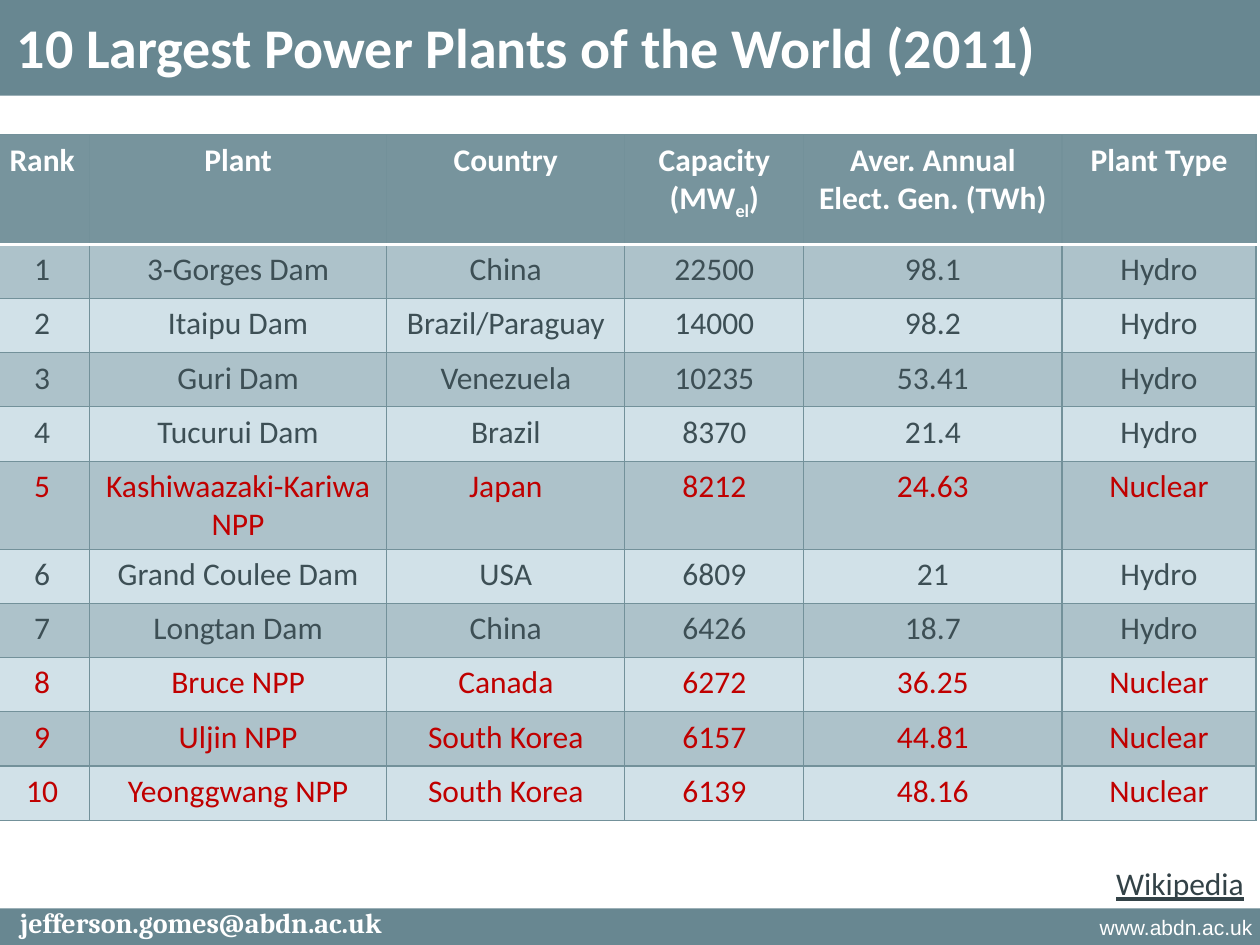
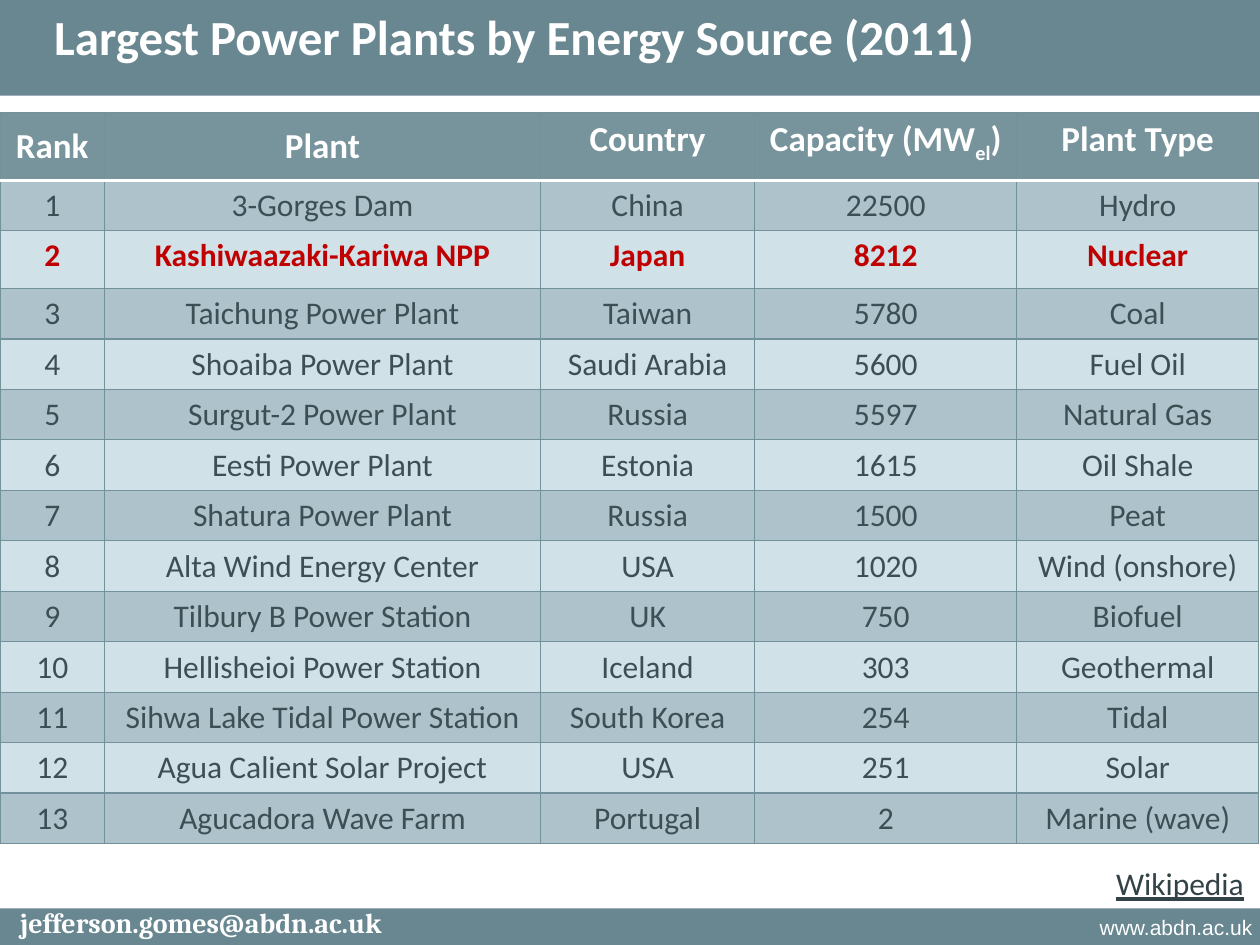
import pptx
import pptx.dml.color
import pptx.enum.shapes
import pptx.enum.text
import pptx.oxml
import pptx.oxml.ns
import pptx.util

Inches = pptx.util.Inches
Pt = pptx.util.Pt
ALIGN = pptx.enum.text.PP_ALIGN
ANCHOR = pptx.enum.text.MSO_ANCHOR

WIDE, HIGH = 10, 7.5
BAND, HEAD, GRID = "688791", "77949D", "73919A"
ODD, EVEN = "ADC2CA", "D1E1E8"
WHITE, INK, RED, LINK = "FFFFFF", "3D4F55", "C00000", "334247"
FONT = "Calibri"
KEY = "Nuclear"  # rows of this plant type are red
POWER = [("Capacity (MW", 0), ("el", -25), (")", 0)]  # text, baseline percent

# Ranks are counted, so each row starts with the plant; the type comes last.
SLIDES = [
    dict(
        title="10 Largest Power Plants of the World (2011)",
        box=(-0.02, 0.05, 8.4, 0.64), size=32,
        spot=(-0.04, 1.07), cols=(0.75, 2.36, 1.89, 1.42, 2.05, 1.54),
        top=0.87, step=0.43, tall={5: 0.7},
        head_size=18, middle=0, bold=False,
        head=["Rank", "Plant", "Country", POWER,
              "Aver. Annual Elect. Gen. (TWh)", "Plant Type"],
        rows=[
            ("3-Gorges Dam", "China", "22500", "98.1", "Hydro"),
            ("Itaipu Dam", "Brazil/Paraguay", "14000", "98.2", "Hydro"),
            ("Guri Dam", "Venezuela", "10235", "53.41", "Hydro"),
            ("Tucurui Dam", "Brazil", "8370", "21.4", "Hydro"),
            ("Kashiwaazaki-Kariwa\nNPP", "Japan", "8212", "24.63", "Nuclear"),
            ("Grand Coulee Dam", "USA", "6809", "21", "Hydro"),
            ("Longtan Dam", "China", "6426", "18.7", "Hydro"),
            ("Bruce NPP", "Canada", "6272", "36.25", "Nuclear"),
            ("Uljin NPP", "South Korea", "6157", "44.81", "Nuclear"),
            ("Yeonggwang NPP", "South Korea", "6139", "48.16", "Nuclear"),
        ],
    ),
    dict(
        title="Largest Power Plants by Energy Source (2011)",
        box=(0.01, 0, 8.14, 0.57), size=28,
        spot=(0, 0.89), cols=(0.83, 3.46, 1.7, 2.08, 1.92),
        top=0.54, step=0.4, tall={2: 0.46},
        head_size=20, middle=2, bold=True,
        head=["Rank", "Plant", "Country", POWER, "Plant Type"],
        rows=[
            ("3-Gorges Dam", "China", "22500", "Hydro"),
            ("Kashiwaazaki-Kariwa NPP", "Japan", "8212", "Nuclear"),
            ("Taichung Power Plant", "Taiwan", "5780", "Coal"),
            ("Shoaiba Power Plant", "Saudi Arabia", "5600", "Fuel Oil"),
            ("Surgut-2 Power Plant", "Russia", "5597", "Natural Gas"),
            ("Eesti Power Plant", "Estonia", "1615", "Oil Shale"),
            ("Shatura Power Plant", "Russia", "1500", "Peat"),
            ("Alta Wind Energy Center", "USA", "1020", "Wind (onshore)"),
            ("Tilbury B Power Station", "UK", "750", "Biofuel"),
            ("Hellisheioi Power Station", "Iceland", "303", "Geothermal"),
            ("Sihwa Lake Tidal Power Station", "South Korea", "254", "Tidal"),
            ("Agua Calient Solar Project", "USA", "251", "Solar"),
            ("Agucadora Wave Farm", "Portugal", "2", "Marine (wave)"),
        ],
    ),
]


def color(code):
    return pptx.dml.color.RGBColor.from_string(code)


def paint(part, code):
    part.fill.solid()
    part.fill.fore_color.rgb = color(code)


def place(box):
    return [Inches(n) for n in box]


def write(para, text, size, code, bold=False, font=FONT, line=False, base=0):
    """Add one run to a paragraph."""
    run = para.add_run()
    run.text = text
    face = run.font
    face.name, face.size, face.bold = font, Pt(size), bold
    face.color.rgb = color(code)
    if line:
        face.underline = True
    if base:
        run._r.get_or_add_rPr().set("baseline", str(base * 1000))


def label(slide, box, text, size, code, align=ALIGN.CENTER, wrap=True, **look):
    frame = slide.shapes.add_textbox(*place(box)).text_frame
    frame.word_wrap = wrap
    para = frame.paragraphs[0]
    para.alignment = align
    write(para, text, size, code, **look)
    return para


def band(slide, top, high):
    shape = slide.shapes.add_shape(
        pptx.enum.shapes.MSO_SHAPE.RECTANGLE, *place((0, top, WIDE, high)))
    shape.shadow.inherit = False
    paint(shape, BAND)
    shape.line.fill.background()


def edge(cell, **sides):
    """Draw the cell borders; sides maps L, R, T, B to (colour, points)."""
    props = cell._tc.get_or_add_tcPr()
    space = pptx.oxml.ns.nsdecls("a")
    for spot, side in enumerate("LRTB"):
        code, width = sides.get(side, (GRID, 0.75))
        props.insert(spot, pptx.oxml.parse_xml(
            f'<a:ln{side} {space} w="{int(Pt(width))}"><a:solidFill>'
            f'<a:srgbClr val="{code}"/></a:solidFill></a:ln{side}>'))


def fill_cell(cell, text, size, code, bold):
    """Write centred text; a list holds (text, baseline) runs."""
    lines = [text] if isinstance(text, list) else [
        [(part, 0)] for part in text.split("\n")]
    frame = cell.text_frame
    for n, runs in enumerate(lines):
        para = frame.add_paragraph() if n else frame.paragraphs[0]
        para.alignment = ALIGN.CENTER
        for part, base in runs:
            write(para, part, size, code, bold, base=base)


def draw_table(slide, data):
    rows = [(str(n), *row) for n, row in enumerate(data["rows"], 1)]
    highs = [data["top"]] + [
        data["tall"].get(n, data["step"]) for n in range(1, len(rows) + 1)]
    cols = data["cols"]
    table = slide.shapes.add_table(
        len(highs), len(cols),
        *place((*data["spot"], sum(cols), sum(highs)))).table
    table.first_row = table.horz_banding = False
    for col, wide in zip(table.columns, cols):
        col.width = Inches(wide)
    for row, high in zip(table.rows, highs):
        row.height = Inches(high)

    rule = (WHITE, 2)
    for c, text in enumerate(data["head"]):
        cell = table.cell(0, c)
        fill_cell(cell, text, data["head_size"], WHITE, True)
        if c < data["middle"]:
            cell.vertical_anchor = ANCHOR.MIDDLE
        paint(cell, HEAD)
        edge(cell, B=rule)
    for r, row in enumerate(rows, 1):
        hot = row[-1] == KEY
        for c, text in enumerate(row):
            cell = table.cell(r, c)
            fill_cell(cell, text, 18, RED if hot else INK,
                      hot and data["bold"])
            paint(cell, ODD if r % 2 else EVEN)
            edge(cell, **({"T": rule} if r == 1 else {}))


def frame_slide(slide):
    """Draw the bands and footers that every slide has."""
    band(slide, 7.21, HIGH - 7.21)
    band(slide, 0, 0.76)
    label(slide, (7.44, 7.21, 2.6, 0.36), "www.abdn.ac.uk", 12, WHITE,
          ALIGN.RIGHT, font="Arial")
    mail = label(slide, (0, 7.17, 3.19, 0.33), "jefferson.gomes@abdn.ac.uk",
                 16, WHITE, bold=True, font="Cambria")
    mail.line_spacing = 0.9
    label(slide, (8.76, 6.81, 1.23, 0.4), "Wikipedia", 18, LINK,
          ALIGN.LEFT, wrap=False, line=True)


def main():
    deck = pptx.Presentation()
    deck.slide_width, deck.slide_height = Inches(WIDE), Inches(HIGH)
    for data in SLIDES:
        slide = deck.slides.add_slide(deck.slide_layouts[6])
        frame_slide(slide)
        label(slide, data["box"], data["title"], data["size"], WHITE, bold=True)
        draw_table(slide, data)
    deck.save("out.pptx")


if __name__ == "__main__":
    main()
